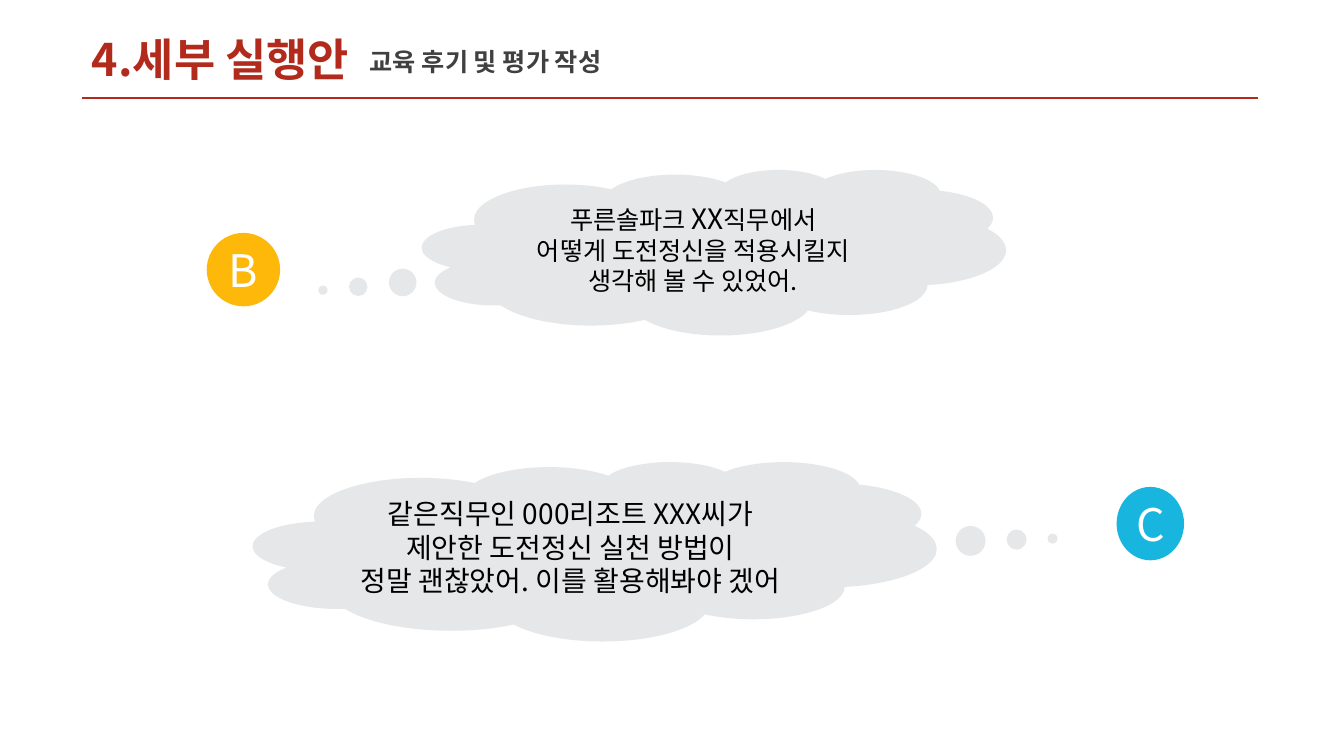
from lxml import etree
from pptx import Presentation
from pptx.dml.color import RGBColor
from pptx.enum import shapes, text
from pptx.oxml import ns
from pptx.util import Cm, Pt

FONT = "Noto Sans CJK KR"
COLORS = {
    "red": "B12A1C",
    "gray": "404040",
    "cloud": "E6E7E8",
    "yellow": "FEB80A",
    "blue": "18B5DF",
    "white": "FFFFFF",
    "black": "000000",
}


def color(name):
    return RGBColor.from_string(COLORS[name])


def format_run(run, size, color_name, bold=False):
    font = run.font
    font.size = Pt(size)
    font.bold = bold
    font.color.rgb = color(color_name)
    font.name = FONT
    # Korean glyphs take the East Asian typeface
    east_asian = etree.SubElement(run._r.get_or_add_rPr(), ns.qn("a:ea"))
    east_asian.set("typeface", FONT)


def write_heading(shape, box, words, size, color_name):
    shape.left, shape.top, shape.width, shape.height = map(Cm, box)
    frame = shape.text_frame
    frame.text = words
    frame.word_wrap = True
    frame.auto_size = text.MSO_AUTO_SIZE.NONE
    frame.vertical_anchor = text.MSO_ANCHOR.TOP
    paragraph = frame.paragraphs[0]
    paragraph.alignment = text.PP_ALIGN.LEFT
    format_run(paragraph.runs[0], size, color_name, bold=True)


def add_rule(slide, left, right, top):
    line = slide.shapes.add_connector(
        shapes.MSO_CONNECTOR.STRAIGHT, Cm(left), Cm(top), Cm(right), Cm(top))
    line.line.color.rgb = color("red")
    line.line.width = Pt(1.75)
    etree.SubElement(line._element.spPr, ns.qn("a:effectLst"))


def add_filled_shape(slide, kind, box, fill, lines, text_color):
    """Each line is a list of (words, size) pairs."""
    shape = slide.shapes.add_shape(kind, *map(Cm, box))
    shape.shadow.inherit = False
    shape.fill.solid()
    shape.fill.fore_color.rgb = color(fill)
    shape.line.fill.background()
    frame = shape.text_frame
    frame.word_wrap = True
    frame.vertical_anchor = text.MSO_ANCHOR.MIDDLE
    for index, line in enumerate(lines):
        paragraph = frame.add_paragraph() if index else frame.paragraphs[0]
        paragraph.alignment = text.PP_ALIGN.CENTER
        for words, size in line:
            run = paragraph.add_run()
            run.text = words
            format_run(run, size, text_color)
    return shape


def add_speaker(slide, letter, box, fill):
    add_filled_shape(slide, shapes.MSO_SHAPE.OVAL, box, fill,
                     [[(letter, 32)]], "white")


def add_thought(slide, box, tail, lines):
    cloud = add_filled_shape(slide, shapes.MSO_SHAPE.CLOUD_CALLOUT, box,
                             "cloud", lines, "black")
    cloud.adjustments[0], cloud.adjustments[1] = tail


def main():
    presentation = Presentation()
    presentation.slide_width = Cm(33.87)
    presentation.slide_height = Cm(19.05)
    slide = presentation.slides.add_slide(presentation.slide_layouts[5])

    # Heading
    write_heading(slide.shapes.title, (2.06, 0.66, 16.66, 1.63),
                  "4.세부 실행안", 32, "red")
    subtitle = slide.shapes.add_textbox(0, 0, 0, 0)
    write_heading(subtitle, (9.07, 1.04, 9.65, 1.02),
                  "교육 후기 및 평가 작성", 18, "gray")
    add_rule(slide, 2.06, 31.7, 2.47)

    # First review
    add_speaker(slide, "B", (5.21, 5.87, 1.85, 1.85), "yellow")
    add_thought(slide, (10.64, 4.27, 14.71, 4.17), (-0.67, 0.23), [
        [("푸른솔파크 ", 18), ("XX", 20), ("직무에서", 18)],
        [("어떻게 도전정신을 적용시킬지", 18)],
        [("생각해 볼 수 있었어.", 18)],
    ])

    # Second review
    add_speaker(slide, "C", (28.14, 12.27, 1.7, 1.85), "blue")
    add_thought(slide, (6.38, 11.63, 17.22, 4.52), (0.67, -0.07), [
        [("같은직무인 000리조트 XXX씨가", 20)],
        [("제안한 도전정신 실천 방법이", 20)],
        [("정말 괜찮았어. 이를 활용해봐야 겠어", 20)],
    ])

    presentation.save("out.pptx")


if __name__ == "__main__":
    main()
